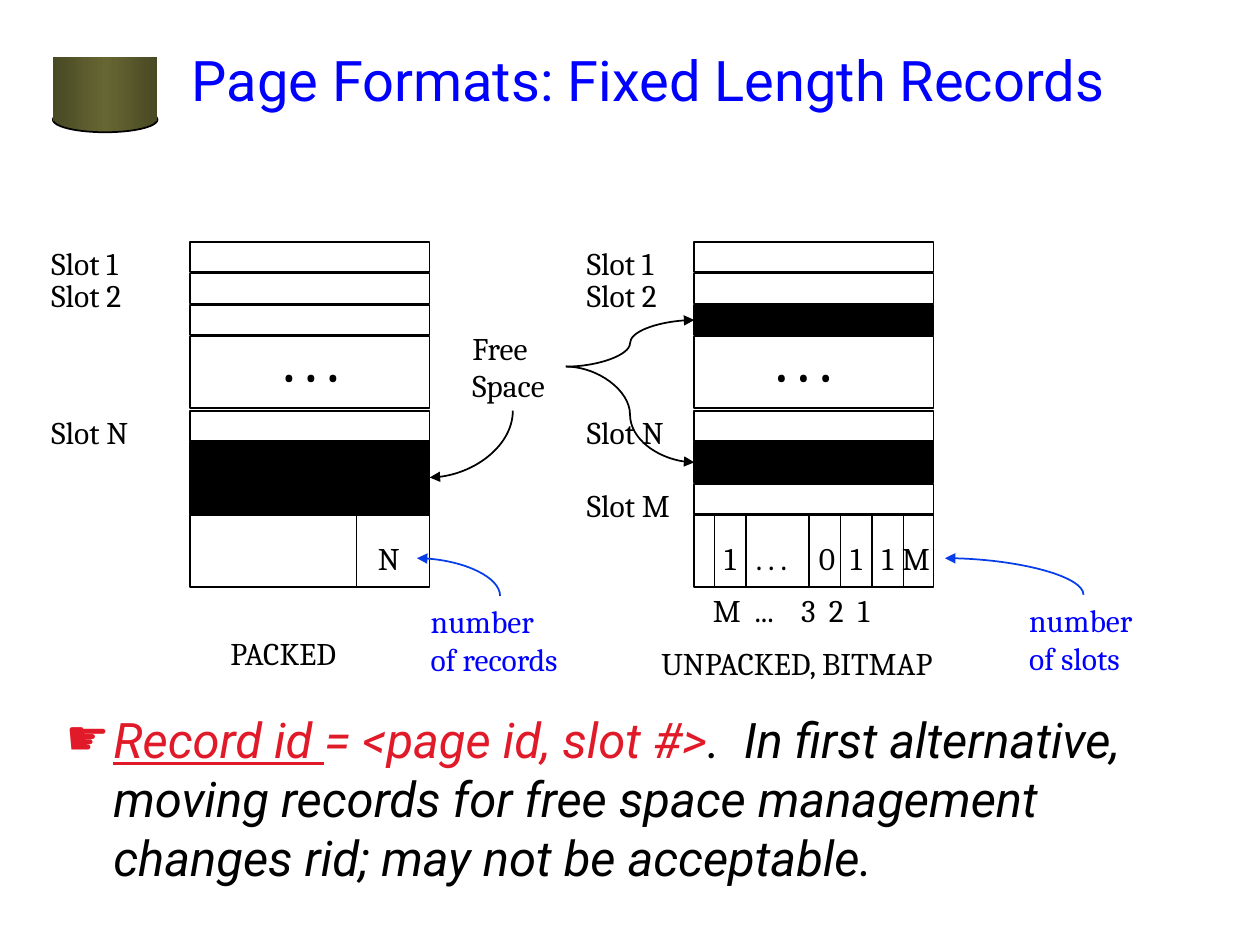
from typing import NamedTuple

from lxml import etree
from pptx import Presentation
from pptx.dml.color import RGBColor
from pptx.enum.shapes import MSO_CONNECTOR, MSO_SHAPE
from pptx.enum.text import MSO_ANCHOR, MSO_AUTO_SIZE, PP_ALIGN
from pptx.oxml.ns import qn
from pptx.util import Inches, Pt

RECTANGLE, ELLIPSE = MSO_SHAPE.RECTANGLE, MSO_SHAPE.OVAL
STRAIGHT, CURVE = MSO_CONNECTOR.STRAIGHT, MSO_CONNECTOR.CURVE
LEFT, TOP, MIDDLE = PP_ALIGN.LEFT, MSO_ANCHOR.TOP, MSO_ANCHOR.MIDDLE
NO_FIT, GROW = MSO_AUTO_SIZE.NONE, MSO_AUTO_SIZE.SHAPE_TO_FIT_TEXT

COLORS = {
    "black": "000000", "blue": "0000FF", "arrow": "063DE8",
    "red": "E01A28", "olive": "666633", "dark olive": "494924",
}
PAGE_WIDTH, PACKED_LEFT, BITMAP_LEFT = 1.9, 1.51, 5.51
SLOT, TALL = 0.24, 0.57
FOOTER_TOP, FOOTER_BOTTOM = 4.08, 4.67


class Band(NamedTuple):
    top: float
    height: float
    filled: bool = False


class Label(NamedTuple):
    text: str
    left: float
    top: float
    width: float
    height: float = 0.4
    color: str = "black"
    size: int = 18
    bold: bool = False


class Arrow(NamedTuple):
    start: tuple[float, float]
    end: tuple[float, float]
    color: str = "black"
    quarter: bool = True


SHARED_BANDS = [Band(1.92, SLOT), Band(2.17, SLOT), Band(2.67, TALL),
                Band(3.26, SLOT), Band(4.09, TALL)]
PAGES = {
    PACKED_LEFT: [Band(2.42, SLOT), Band(3.51, TALL, True)],
    BITMAP_LEFT: [Band(2.42, SLOT, True), Band(3.51, 0.32, True), Band(3.84, SLOT)],
}
DIVIDERS = [2.83, 5.67, 5.92, 6.42, 6.67, 6.92, 7.17]
SLOT_ROWS = [("Slot 1", 1.89, 0.81), ("Slot 2", 2.14, 0.81), ("Slot N", 3.23, 0.89)]
LABELS = [
    Label(text, left, top, width)
    for left in (0.31, 4.56) for text, top, width in SLOT_ROWS
] + [
    Label(". . .", left, 2.6, 0.69, TALL, size=28, bold=True) for left in (2.15, 6.06)
] + [
    Label(text, left, 4.23, width)
    for text, left, width in [
        ("N", 2.9, 0.41), ("1", 5.65, 0.33), (". . .", 5.9, 0.51), ("0", 6.4, 0.33),
        ("1", 6.65, 0.33), ("1", 6.9, 0.33), ("M", 7.06, 0.44)]
] + [
    Label("Slot M", 4.56, 3.81, 0.92),
    Label("PACKED", 1.73, 4.98, 1.25),
    Label("UNPACKED, BITMAP", 5.15, 5.06, 2.75),
    Label("Free\nSpace", 3.65, 2.56, 0.84, 0.7),
    Label("number\nof records", 3.32, 4.73, 1.31, 0.7, "blue"),
    Label("number\nof slots", 8.07, 4.72, 1.07, 0.7, "blue"),
]
BIT_NUMBERS = Label("M\t...\t3\t2\t1", 5.56, 4.64, 1.62)
BIT_TABS = [0.33, 0.7, 0.92, 1.15]
ARROWS = [
    Arrow((4.07, 3.26), (3.41, 3.79)),
    Arrow((4.49, 2.91), (5.51, 2.54), quarter=False),
    Arrow((4.49, 2.91), (5.51, 3.67), quarter=False),
    Arrow((3.97, 4.73), (3.31, 4.43), "arrow"),
    Arrow((8.6, 4.72), (7.5, 4.43), "arrow"),
]


def rgb(name: str) -> RGBColor:
    return RGBColor.from_string(COLORS[name])


def format_font(font, color: str, **values) -> None:
    for name, value in values.items():
        setattr(font, name, value)
    font.color.rgb = rgb(color)


def add_box(slide, kind, left: float, top: float, width: float, height: float):
    shape = slide.shapes.add_shape(
        kind, Inches(left), Inches(top), Inches(width), Inches(height))
    shape.shadow.inherit = False
    shape.line.color.rgb = rgb("black")
    shape.line.width = Pt(1)
    return shape


def add_cylinder(slide) -> None:
    for kind, top, height in ((ELLIPSE, 0.85, 0.2), (RECTANGLE, 0.45, 0.51)):
        shape = add_box(slide, kind, 0.42, top, 0.83, height)
        if kind == RECTANGLE:
            shape.line.fill.background()
        shape.fill.gradient()
        shape.fill.gradient_angle = 0
        stops = shape._element.spPr.find(".//" + qn("a:gsLst"))
        for stop in list(stops):
            stops.remove(stop)
        for position, name in ((0, "dark olive"), (50, "olive"), (100, "dark olive")):
            stop = etree.SubElement(stops, qn("a:gs"), pos=str(position * 1000))
            etree.SubElement(stop, qn("a:srgbClr"), val=COLORS[name])


def add_band(slide, left: float, band: Band) -> None:
    shape = add_box(slide, RECTANGLE, left, band.top, PAGE_WIDTH, band.height)
    if band.filled:
        shape.fill.solid()
        shape.fill.fore_color.rgb = rgb("black")
    else:
        shape.fill.background()


def add_label(slide, label: Label):
    box = slide.shapes.add_textbox(
        Inches(label.left), Inches(label.top), Inches(label.width), Inches(label.height))
    frame = box.text_frame
    frame.word_wrap = False
    frame.auto_size = GROW
    frame.text = label.text
    for paragraph in frame.paragraphs:
        format_font(paragraph.runs[0].font, label.color, name="Cambria",
                    size=Pt(label.size), bold=label.bold)
    return box


def add_line(slide, kind, start, end, color: str = "black"):
    line = slide.shapes.add_connector(kind, *(Inches(value) for value in (*start, *end)))
    line.line.color.rgb = rgb(color)
    line.line.width = Pt(1)
    etree.SubElement(line._element.spPr, qn("a:effectLst"))
    return line


def add_arrow(slide, arrow: Arrow) -> None:
    start, end = arrow.start, arrow.end
    if arrow.quarter:
        middle_x, middle_y = ((a + b) / 2 for a, b in zip(start, end))
        half_rise, half_run = (end[1] - start[1]) / 2, abs(end[0] - start[0]) / 2
        start = (middle_x - half_rise, middle_y - half_run)
        end = (middle_x + half_rise, middle_y + half_run)
    connector = add_line(slide, CURVE, start, end, arrow.color)
    properties = connector._element.spPr
    if arrow.quarter:
        properties.find(qn("a:xfrm")).set("rot", "5400000")
        properties.find(qn("a:prstGeom")).set("prst", "curvedConnector2")
    etree.SubElement(properties.find(qn("a:ln")), qn("a:tailEnd"), type="triangle")


def place(shape, left: float, top: float, width: float, height: float, anchor):
    shape.left, shape.top = Inches(left), Inches(top)
    shape.width, shape.height = Inches(width), Inches(height)
    frame = shape.text_frame
    frame.auto_size = NO_FIT
    frame.vertical_anchor = anchor
    paragraph = frame.paragraphs[0]
    paragraph.alignment = LEFT
    return paragraph


def fill_placeholders(slide) -> None:
    title = place(slide.shapes.title, 1.42, 0, 7.83, 1.25, MIDDLE)
    run = title.add_run()
    run.text = "Page Formats: Fixed Length Records"
    format_font(run.font, "blue", name="Roboto", size=Pt(32))

    body = place(slide.placeholders[1], 0.42, 5.58, 9.33, 1.58, TOP)
    body.space_before = Pt(5.6)
    properties = body._p.get_or_add_pPr()
    properties.set("marL", str(Inches(0.38)))
    properties.set("indent", str(Inches(-0.38)))
    etree.SubElement(properties, qn("a:buChar"), char="☛")
    for text, color, underline in (
        ("Record id ", "red", True),
        ("= <page id, slot #>", "red", False),
        (".  In first alternative, moving records for free space management "
         "changes rid; may not be acceptable.", "black", False),
    ):
        run = body.add_run()
        run.text = text
        format_font(run.font, color, name="Roboto", size=Pt(28),
                    italic=True, underline=underline)


def main() -> None:
    presentation = Presentation()
    presentation.slide_width, presentation.slide_height = Inches(10), Inches(7.5)
    slide = presentation.slides.add_slide(presentation.slide_layouts[1])
    add_cylinder(slide)
    fill_placeholders(slide)
    for left, bands in PAGES.items():
        for band in sorted(SHARED_BANDS + bands):
            add_band(slide, left, band)
    for x in DIVIDERS:
        add_line(slide, STRAIGHT, (x, FOOTER_TOP), (x, FOOTER_BOTTOM))
    for label in LABELS:
        add_label(slide, label)
    numbers = add_label(slide, BIT_NUMBERS).text_frame.paragraphs[0]
    tabs = etree.SubElement(numbers._p.get_or_add_pPr(), qn("a:tabLst"))
    for position in BIT_TABS:
        etree.SubElement(tabs, qn("a:tab"), pos=str(Inches(position)), algn="l")
    for arrow in ARROWS:
        add_arrow(slide, arrow)
    presentation.save("out.pptx")


main()
